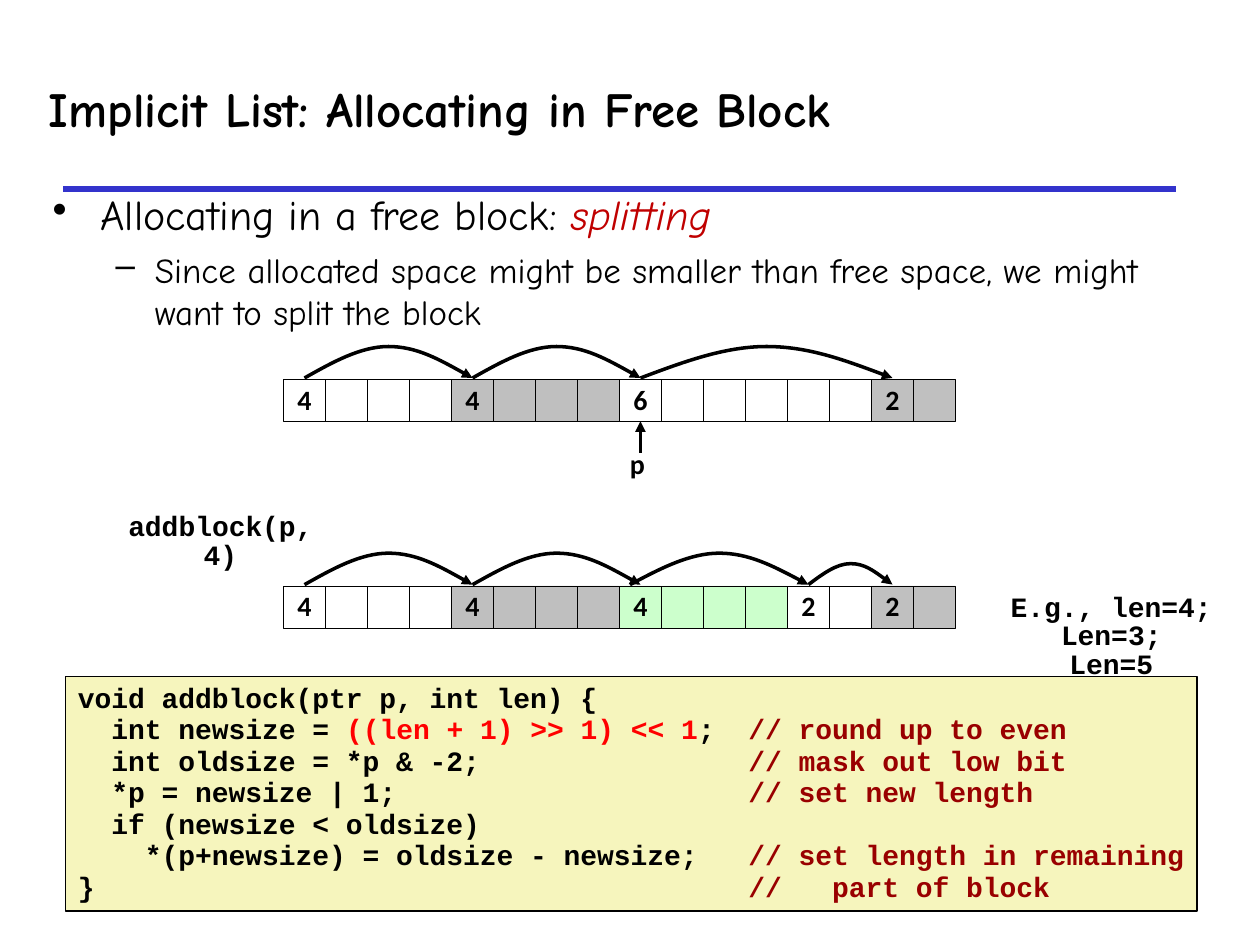
import dataclasses

import pptx
import pptx.dml.color
import pptx.enum.shapes
import pptx.enum.text
import pptx.oxml
import pptx.oxml.ns
import pptx.util

ALIGN = pptx.enum.text.PP_ALIGN
ANCHOR = pptx.enum.text.MSO_ANCHOR
SHAPES = pptx.enum.shapes
qn = pptx.oxml.ns.qn


@dataclasses.dataclass(frozen=True)
class Theme:
    text: str = "Comic Neue"
    label: str = "Calibri"
    code: str = "Courier New"
    title_pt: int = 28
    body_pt: int = 24
    sub_pt: int = 20
    small_pt: int = 16
    ink: str = "000000"
    rule: str = "3333CC"
    accent: str = "C00000"
    formula: str = "FF0000"
    comment: str = "990000"
    panel: str = "F6F5BD"
    free: str = "FFFFFF"
    used: str = "BFBFBF"
    last: str = "C0C0C0"
    new: str = "CCFFCC"


def rgb(value):
    return pptx.dml.color.RGBColor.from_string(value)


def grid(n):
    """Length of n grid units; the slide is 30 columns by 22.5 rows."""
    return pptx.util.Inches(n / 3)


def xml_child(parent, tag, **attributes):
    child = parent.makeelement(qn(tag), attributes)
    parent.append(child)
    return child


class Deck:
    def __init__(self, theme):
        self.theme = theme
        self.prs = pptx.Presentation()
        self.prs.slide_width, self.prs.slide_height = grid(30), grid(22.5)
        self.s = self.prs.slides.add_slide(self.prs.slide_layouts[6])

    def stroke(self, sp, width, color=None, arrow=False):
        sp.line.width = pptx.util.Pt(width)
        sp.line.color.rgb = rgb(color or self.theme.ink)
        if arrow:
            line = sp._element.spPr.find(qn("a:ln"))
            xml_child(line, "a:tailEnd", type="triangle")

    def fill_text(self, tf, paragraphs, font, size, bold=True, align=ALIGN.LEFT,
                  spacing=None):
        """Fill tf; a paragraph is a string or a list of (text, colour) runs."""
        for i, runs in enumerate(paragraphs):
            p = tf.paragraphs[0] if i == 0 else tf.add_paragraph()
            p.alignment = align
            if spacing:
                p.line_spacing = spacing
            self.style(p, font, size, bold)
            if isinstance(runs, str):
                runs = [(runs, self.theme.ink)]
            for text, color in runs:
                r = p.add_run()
                r.text = text
                if color != self.theme.ink:
                    r.font.color.rgb = rgb(color)

    def style(self, p, font, size, bold):
        p.font.name, p.font.size, p.font.bold = font, pptx.util.Pt(size), bold
        p.font.color.rgb = rgb(self.theme.ink)

    def textbox(self, x, y, w, h, wrap=False, margin=0.1):
        tf = self.s.shapes.add_textbox(grid(x), grid(y), grid(w), grid(h)).text_frame
        tf.word_wrap = wrap
        tf.margin_left = tf.margin_right = pptx.util.Inches(margin)
        if not wrap:
            tf.auto_size = pptx.enum.text.MSO_AUTO_SIZE.SHAPE_TO_FIT_TEXT
        return tf

    def title(self, text, x, y, w, h):
        tf = self.textbox(x, y, w, h, wrap=True)
        tf.vertical_anchor = ANCHOR.MIDDLE
        self.fill_text(tf, [text], self.theme.text, self.theme.title_pt)

    def bullets(self, items, x, y, w, h):
        """Items are (bullet, left indent, hanging, space before, size, runs)."""
        tf = self.textbox(x, y, w, h, wrap=True)
        for i, (mark, left, hang, before, size, runs) in enumerate(items):
            p = tf.paragraphs[0] if i == 0 else tf.add_paragraph()
            p.space_before = pptx.util.Pt(before)
            pPr = p._p.get_or_add_pPr()
            pPr.set("marL", str(pptx.util.Inches(left)))
            pPr.set("indent", str(-pptx.util.Inches(hang)))
            xml_child(pPr, "a:buChar", char=mark)
            self.style(p, self.theme.text, size, False)
            for text, emphasis in runs:
                r = p.add_run()
                r.text = text
                if emphasis:
                    r.font.italic = True
                    r.font.color.rgb = rgb(self.theme.accent)

    def label(self, paragraphs, x, y, w, h, font, align, spacing, margin):
        tf = self.textbox(x, y, w, h, margin=margin)
        self.fill_text(tf, paragraphs, font, self.theme.small_pt,
                       align=align, spacing=spacing)

    def box(self, x, y, w, h, fill, line):
        sp = self.s.shapes.add_shape(SHAPES.MSO_SHAPE.RECTANGLE,
                                     grid(x), grid(y), grid(w), grid(h))
        sp.shadow.inherit = False
        sp.fill.solid()
        sp.fill.fore_color.rgb = rgb(fill)
        self.stroke(sp, line)
        sp.text_frame.word_wrap = False
        return sp

    def code(self, lines, x, y, w, h):
        tf = self.box(x, y, w, h, self.theme.panel, 1).text_frame
        tf.vertical_anchor = ANCHOR.TOP
        self.fill_text(tf, lines, self.theme.code, self.theme.small_pt, spacing=0.94)

    def heap(self, x, y, blocks):
        """Draw (size, fill) blocks in a row; return their head cells."""
        heads = []
        for size, fill in blocks:
            cells = [self.box(x + i, y, 1, 1, fill, 0.25) for i in range(size)]
            x += size
            heads.append(cells[0])
            tf = cells[0].text_frame
            tf.vertical_anchor = ANCHOR.MIDDLE
            self.fill_text(tf, [str(size)], self.theme.label, self.theme.small_pt,
                           align=ALIGN.CENTER, spacing=0.98)
        return heads

    def arc(self, x1, x2, y, rise):
        """Curved arrow from x1 to x2 built of two Bézier halves."""
        heights = (0.5, 1, 1, 1, 0.5, 0)
        points = [(grid(x1 + (x2 - x1) * i / 6), grid(y - rise * up))
                  for i, up in enumerate(heights, 1)]
        builder = self.s.shapes.build_freeform(grid(x1), grid(y))
        builder.add_line_segments(points, close=False)
        sp = builder.convert_to_shape()
        sp.shadow.inherit = False
        sp.fill.background()
        self.stroke(sp, 2, arrow=True)
        outline = next(sp._element.iter(qn("a:path")))
        segments = outline.findall(qn("a:lnTo"))
        for half in (segments[:3], segments[3:]):
            curve = xml_child(outline, "a:cubicBezTo")
            for segment in half:
                curve.append(segment[0])
                outline.remove(segment)

    def line(self, x1, y1, x2, y2, width, color=None, arrow=False):
        sp = self.s.shapes.add_connector(SHAPES.MSO_CONNECTOR.STRAIGHT,
                                         grid(x1), grid(y1), grid(x2), grid(y2))
        self.stroke(sp, width, color, arrow)
        xml_child(sp._element.spPr, "a:effectLst")
        return sp


def main():
    t = Theme()
    d = Deck(t)
    d.line(1.5, 4.5, 28, 4.5, 3, t.rule)
    d.title("Implicit List: Allocating in Free Block", 0.87, 1.62, 28.26, 1.89)
    d.bullets([
        ("•", 0.38, 0.38, 0, t.body_pt,
         [("Allocating in a free block: ", False), ("splitting", True)]),
        ("–", 0.81, 0.31, 5, t.sub_pt,
         [("Since allocated space might be smaller than free space, "
           "we might want to split the block", False)]),
    ], 0.96, 4.35, 27.27, 17.13)

    d.code([
        "void addblock(ptr p, int len) {",
        [("  int newsize = ", t.ink), ("((len + 1) >> 1) << 1", t.formula),
         (";  ", t.ink), ("// round up to even", t.comment)],
        [("  int oldsize = *p & -2;                ", t.ink),
         ("// mask out low bit", t.comment)],
        [("  *p = newsize | 1;                     ", t.ink),
         ("// set new length", t.comment)],
        "  if (newsize < oldsize)",
        [("    *(p+newsize) = oldsize - newsize;   ", t.ink),
         ("// set length in remaining", t.comment)],
        [("}                                       ", t.ink),
         ("//   part of block", t.comment)],
    ], 1.56, 16.11, 26.94, 5.58)

    left, before, after = 6.75, 9.03, 13.95
    shared = [(4, t.free), (4, t.used)]
    tail = (2, t.last)
    heads = d.heap(left, before, shared + [(6, t.free), tail])
    d.heap(left, after, shared + [(4, t.new), (2, t.free), tail])
    arcs = [(before, 0, 4, 0.75), (before, 4, 8, 0.75), (before, 8, 14, 0.75),
            (after, 0, 4, 0.75), (after, 4, 8, 0.75), (after, 7.75, 12, 0.75),
            (after, 12, 14, 0.5)]
    for top, start, end, rise in arcs:
        d.arc(left + start + 0.5, left + end + 0.5, top - 0.03, rise)

    pointer = d.line(left + 8.5, before + 1.75, left + 8.5, before + 1, 2, arrow=True)
    pointer.end_connect(heads[2], 2)
    d.label(["p"], 14.7, 10.53, 0.96, 1.08, t.label, ALIGN.LEFT, 0.98, 0.1)
    d.label(["addblock(p, 4)"], 2.31, 12.09, 5.88, 0.99,
            t.code, ALIGN.CENTER, 0.85, 0.05)
    d.label(["E.g., len=4;", "Len=3;", "Len=5"], 23.91, 14.01, 5.1, 2.34,
            t.code, ALIGN.CENTER, 0.85, 0.05)
    d.prs.save("out.pptx")


if __name__ == "__main__":
    main()
